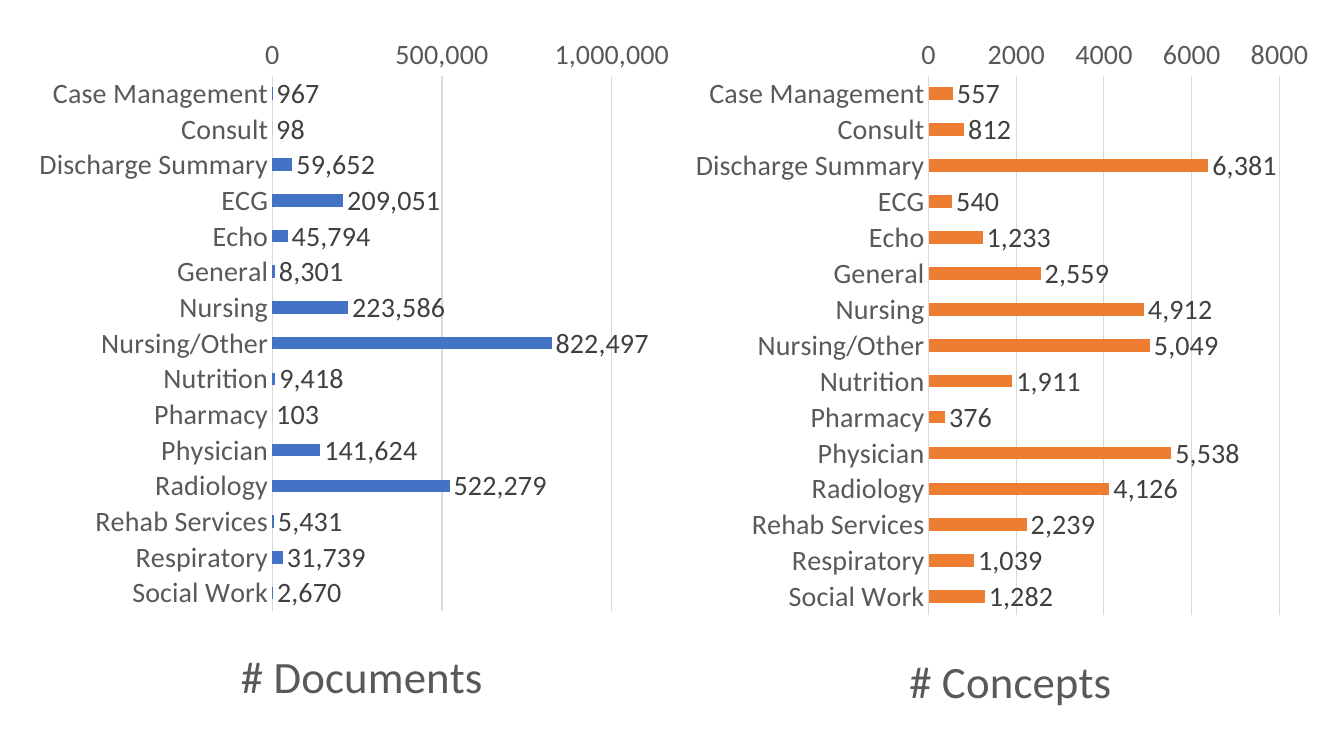
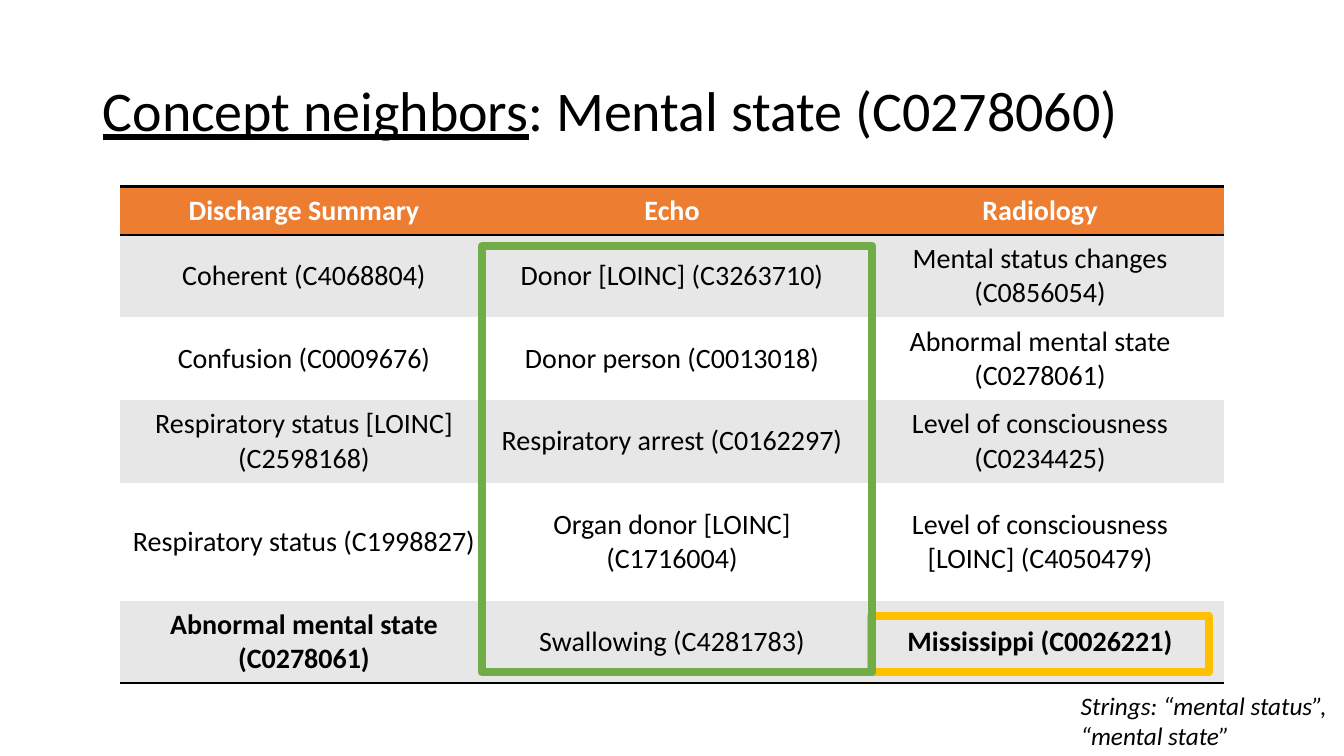
from lxml import etree
from pptx import Presentation
from pptx.chart.data import CategoryChartData
from pptx.dml.color import RGBColor
from pptx.enum.chart import XL_CHART_TYPE, XL_LABEL_POSITION, XL_TICK_MARK
from pptx.enum.shapes import MSO_SHAPE
from pptx.enum.text import MSO_ANCHOR, PP_ALIGN
from pptx.oxml import parse_xml
from pptx.oxml.ns import nsdecls, qn
from pptx.util import Inches, Pt

FONT = "Calibri"
COLORS = {
    "black": "000000",
    "white": "FFFFFF",
    "axis": "595959",
    "value": "404040",
    "grid": "D9D9D9",
    "band": "E7E7E7",
    "blue": "4472C4",
    "orange": "ED7D31",
    "gold": "FFC000",
    "green": "70AD47",
}
NO_STYLE = "{2D5ABB26-0587-4C30-8999-92F81FD0307C}"

NOTE_TYPES = [
    "Case Management", "Consult", "Discharge Summary", "ECG", "Echo",
    "General", "Nursing", "Nursing/Other", "Nutrition", "Pharmacy",
    "Physician", "Radiology", "Rehab Services", "Respiratory", "Social Work",
]
CONCEPTS = [557, 812, 6381, 540, 1233, 2559, 4912, 5049, 1911, 376, 5538,
            4126, 2239, 1039, 1282]
DOCUMENTS = [967, 98, 59652, 209051, 45794, 8301, 223586, 822497, 9418, 103,
             141624, 522279, 5431, 31739, 2670]

NEIGHBORS = [
    ["Discharge Summary", "Echo", "Radiology"],
    ["Coherent (C4068804)", "Donor [LOINC] (C3263710)",
     "Mental status changes (C0856054)"],
    ["Confusion (C0009676)", "Donor person (C0013018)",
     "Abnormal mental state (C0278061)"],
    ["Respiratory status [LOINC] (C2598168)", "Respiratory arrest (C0162297)",
     "Level of consciousness (C0234425)"],
    ["Respiratory status (C1998827)", "Organ donor [LOINC] (C1716004)",
     "Level of consciousness [LOINC] (C4050479)"],
    ["Abnormal mental state (C0278061)", "Swallowing (C4281783)",
     "Mississippi (C0026221)"],
]
ROW_HEIGHTS = [0.48, 0.82, 0.82, 0.82, 1.17, 0.82]
COLUMN_WIDTH = 3.65
BOLD_CELLS = {(0, 0), (0, 1), (0, 2), (5, 0), (5, 2)}


def rgb(name):
    return RGBColor.from_string(COLORS[name])


def inches(*lengths):
    return [Inches(length) for length in lengths]


def style_font(font, size, color="black", bold=False, italic=False, underline=False):
    font.name = FONT
    font.size = Pt(size)
    font.bold, font.italic, font.underline = bold, italic, underline
    font.color.rgb = rgb(color)


def write(frame, text, align=PP_ALIGN.LEFT, line_spacing=None, **font_format):
    """Append a run to the frame's first paragraph."""
    paragraph = frame.paragraphs[0]
    paragraph.alignment = align
    if line_spacing:
        paragraph.line_spacing = line_spacing
    run = paragraph.add_run()
    run.text = text
    style_font(run.font, **font_format)


def add_text_frame(slide, box, anchor=MSO_ANCHOR.TOP):
    frame = slide.shapes.add_textbox(*inches(*box)).text_frame
    frame.word_wrap = True
    frame.vertical_anchor = anchor
    return frame


def add_outline(slide, box, color):
    outline = slide.shapes.add_shape(MSO_SHAPE.RECTANGLE, *inches(*box))
    outline.shadow.inherit = False
    outline.fill.background()
    outline.line.color.rgb = rgb(color)
    outline.line.width = Pt(6)


def set_layout(parent, successor, **fractions):
    """Place a chart part by fractions of the chart's size."""
    for old in parent.findall(qn("c:layout")):
        parent.remove(old)
    layout = parse_xml(f"<c:layout {nsdecls('c')}><c:manualLayout/></c:layout>")
    for tag, value in fractions.items():
        etree.SubElement(layout[0], qn(f"c:{tag}")).set("val", str(value))
    parent.find(qn(successor)).addprevious(layout)


def style_axis(axis):
    axis.major_tick_mark = axis.minor_tick_mark = XL_TICK_MARK.NONE
    style_font(axis.tick_labels.font, 20, "axis")


def style_grid_line(line):
    line.color.rgb = rgb("grid")
    line.width = Pt(0.75)


def add_bar_chart(slide, box, title, title_at, plot, counts, color, step, top,
                  axis_format="General"):
    """Draw counts by note type; title_at and plot are inches within the box."""
    data = CategoryChartData()
    data.categories = NOTE_TYPES
    data.add_series("Series 1", counts)
    chart = slide.shapes.add_chart(
        XL_CHART_TYPE.BAR_CLUSTERED, *inches(*box), data).chart
    chart.has_legend = chart.has_title = False
    style_font(chart.font, 20)

    note_axis, count_axis = chart.category_axis, chart.value_axis
    for axis in (note_axis, count_axis):
        style_axis(axis)
    note_axis.reverse_order = True
    note_axis.has_major_gridlines = False
    style_grid_line(note_axis.format.line)

    count_axis.minimum_scale, count_axis.maximum_scale = 0, top
    count_axis.major_unit = step
    count_axis.tick_labels.number_format = axis_format
    count_axis.tick_labels.number_format_is_linked = False
    count_axis.format.line.fill.background()
    style_grid_line(count_axis.major_gridlines.format.line)
    write(count_axis.axis_title.text_frame, title, align=PP_ALIGN.CENTER,
          size=32, color="axis")

    bars = chart.plots[0]
    bars.gap_width = 182
    bars.vary_by_categories = False
    fill = bars.series[0].format.fill
    fill.solid()
    fill.fore_color.rgb = rgb(color)
    bars.has_data_labels = True
    labels = bars.data_labels
    labels.show_value = True
    labels.number_format = "#,##0"
    labels.number_format_is_linked = False
    labels.position = XL_LABEL_POSITION.OUTSIDE_END
    style_font(labels.font, 20, "value")

    width, height = box[2:]
    plot_left, plot_top, plot_width, plot_height = plot
    set_layout(chart.plots[0]._element.getparent(), "c:barChart",
               layoutTarget="inner", xMode="edge", yMode="edge",
               x=plot_left / width, y=plot_top / height,
               w=plot_width / width, h=plot_height / height)
    set_layout(count_axis.axis_title._element, "c:overlay",
               xMode="edge", yMode="edge",
               x=title_at[0] / width, y=title_at[1] / height)


def add_border(cell, side):
    cell._tc.get_or_add_tcPr().append(parse_xml(
        f'<a:ln{side} {nsdecls("a")} w="{Pt(2)}"><a:solidFill>'
        f'<a:srgbClr val="{COLORS["black"]}"/></a:solidFill></a:ln{side}>'))


def add_neighbor_table(slide, left, top):
    row_count, column_count = len(NEIGHBORS), len(NEIGHBORS[0])
    table = slide.shapes.add_table(
        row_count, column_count,
        *inches(left, top, COLUMN_WIDTH * column_count, sum(ROW_HEIGHTS))).table
    table.horz_banding = False
    table._tbl.tblPr.find(qn("a:tableStyleId")).text = NO_STYLE
    for column in table.columns:
        column.width = Inches(COLUMN_WIDTH)
    for r, (texts, height) in enumerate(zip(NEIGHBORS, ROW_HEIGHTS)):
        table.rows[r].height = Inches(height)
        header = r == 0
        sides = "TB" if header else "B" if r == row_count - 1 else ""
        fill = "orange" if header else "band" if r % 2 else "white"
        for c, text in enumerate(texts):
            cell = table.cell(r, c)
            cell.vertical_anchor = MSO_ANCHOR.MIDDLE
            for side in sides:
                add_border(cell, side)
            cell.fill.solid()
            cell.fill.fore_color.rgb = rgb(fill)
            write(cell.text_frame, text, align=PP_ALIGN.CENTER, size=20,
                  color="white" if header else "black",
                  bold=(r, c) in BOLD_CELLS)


def build_counts_slide(slide):
    add_bar_chart(slide, (6.77, 0.23, 6.33, 7.01), "# Concepts", (2.17, 6.14),
                  (2.44, 0.52, 3.48, 5.35), CONCEPTS, "orange", 2000, 8000)
    add_bar_chart(slide, (0.26, 0.23, 6.51, 6.95), "# Documents", (2.05, 6.09),
                  (2.44, 0.52, 3.37, 5.31), DOCUMENTS, "blue", 500000, 1000000,
                  axis_format="#,##0")


def build_neighbors_slide(slide):
    title = add_text_frame(slide, (0.92, 0.4, 11.92, 1.45), MSO_ANCHOR.MIDDLE)
    write(title, "Concept neighbors", size=40, underline=True, line_spacing=0.9)
    write(title, ": Mental state (C0278060)", size=40)
    add_neighbor_table(slide, 1.19, 1.85)
    strings = add_text_frame(slide, (10.62, 6.8, 3.35, 0.71))
    write(strings, "Strings: “mental status”, “mental state”", size=18, italic=True)
    add_outline(slide, (8.64, 6.11, 3.35, 0.56), "gold")
    add_outline(slide, (4.78, 2.44, 3.87, 4.23), "green")


def main():
    presentation = Presentation()
    presentation.slide_width, presentation.slide_height = inches(13.33, 7.5)
    blank = presentation.slide_layouts[6]
    for build in (build_counts_slide, build_neighbors_slide):
        build(presentation.slides.add_slide(blank))
    presentation.save("out.pptx")


if __name__ == "__main__":
    main()
